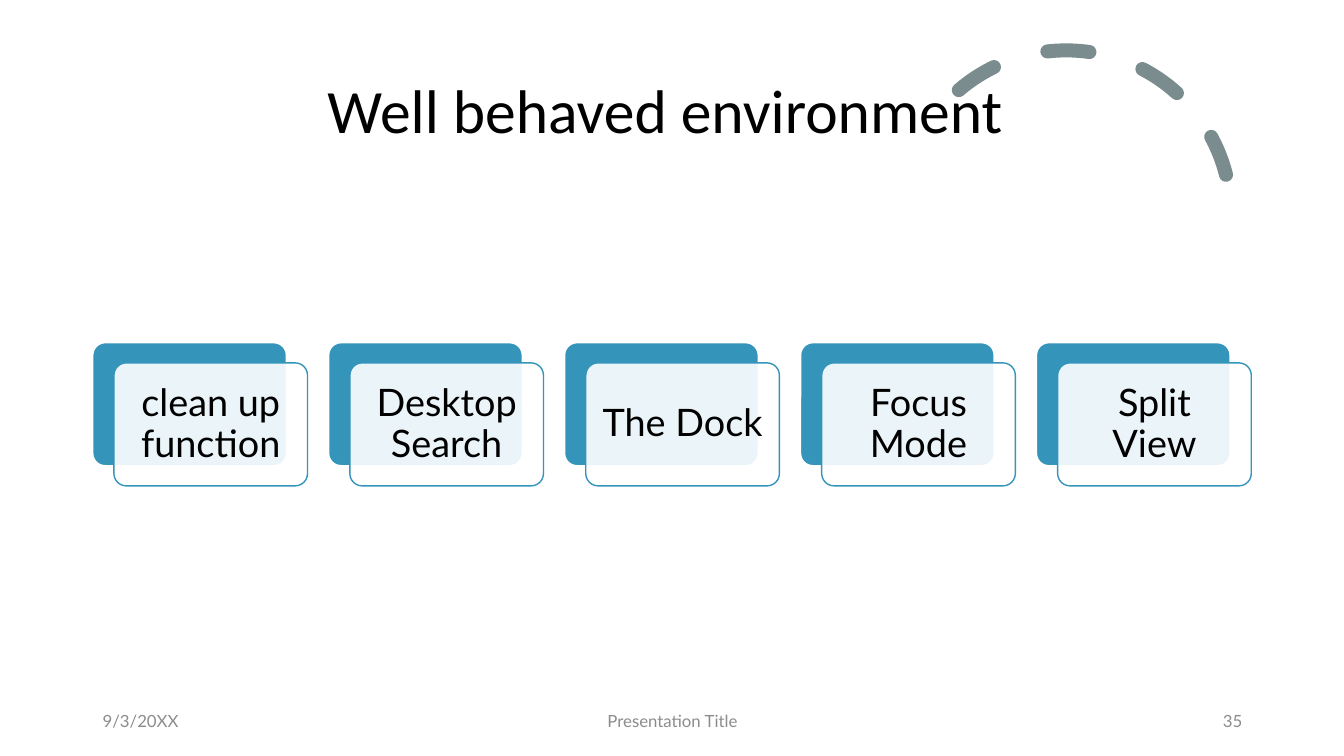
import pptx
import pptx.util
import pptx.dml.color
import pptx.enum.dml
import pptx.enum.shapes
import pptx.enum.text
import pptx.oxml

Inches = pptx.util.Inches
Pt = pptx.util.Pt
RGBColor = pptx.dml.color.RGBColor
SHAPE = pptx.enum.shapes.MSO_SHAPE
ALIGN = pptx.enum.text.PP_ALIGN
MIDDLE = pptx.enum.text.MSO_ANCHOR.MIDDLE

BLACK = RGBColor(0x00, 0x00, 0x00)
WHITE = RGBColor(0xFF, 0xFF, 0xFF)
BLUE = RGBColor(0x34, 0x94, 0xBA)
SLATE = RGBColor(0x7A, 0x8C, 0x8E)
GREY = RGBColor(0x8C, 0x8C, 0x8C)

TOOLS = ["clean up function", "Desktop Search", "The Dock",
         "Focus Mode", "Split View"]
LEFT, TOP, PITCH = 0.92, 3.4, 2.34
WIDTH, HEIGHT = 1.92, 1.22
SHIFT_X, SHIFT_Y = 0.21, 0.2


def write(frame, text, size, font, color, align):
    frame.word_wrap = True
    frame.vertical_anchor = MIDDLE
    para = frame.paragraphs[0]
    para.alignment = align
    run = para.add_run()
    run.text = text
    run.font.size = Pt(size)
    run.font.name = font
    run.font.color.rgb = color
    return para


def add_label(slide, box, text, size, font, color, align):
    label = slide.shapes.add_textbox(*[Inches(n) for n in box])
    write(label.text_frame, text, size, font, color, align)
    return label


def add_panel(slide, left, top, fill, line):
    panel = slide.shapes.add_shape(
        SHAPE.ROUNDED_RECTANGLE, Inches(left), Inches(top),
        Inches(WIDTH), Inches(HEIGHT))
    panel.adjustments[0] = 0.1
    panel.shadow.inherit = False
    panel.fill.solid()
    panel.fill.fore_color.rgb = fill
    panel.line.color.rgb = line
    panel.line.width = Pt(1)
    return panel


def set_alpha(shape, percent):
    color = shape.fill._xPr.find(".//" + pptx.oxml.ns.qn("a:srgbClr"))
    color.append(pptx.oxml.parse_xml(
        f'<a:alpha {pptx.oxml.ns.nsdecls("a")} val="{percent * 1000}"/>'))


def add_card(slide, left, text):
    """Add a blue panel with a translucent captioned panel offset over it."""
    add_panel(slide, left, TOP, BLUE, WHITE)
    front = add_panel(slide, left + SHIFT_X, TOP + SHIFT_Y, WHITE, BLUE)
    set_alpha(front, 90)
    frame = front.text_frame
    frame.margin_left = frame.margin_right = Inches(0.11)
    frame.margin_top = frame.margin_bottom = Inches(0.11)
    para = write(frame, text, 27, "Lato", BLACK, ALIGN.CENTER)
    para.line_spacing = 0.9


def add_arc(slide):
    arc = slide.shapes.add_shape(
        SHAPE.ARC, Inches(8.94), Inches(0.5), Inches(3.27), Inches(3.27))
    arc.adjustments[0] = 146.13
    arc.adjustments[1] = 0
    arc.rotation = 345.8
    arc.shadow.inherit = False
    arc.fill.background()
    arc.line.color.rgb = SLATE
    arc.line.width = Pt(10)
    arc.line.dash_style = pptx.enum.dml.MSO_LINE.DASH
    arc.line._get_or_add_ln().set("cap", "rnd")


def add_title(slide):
    title = add_label(slide, (0.92, 0.4, 11.5, 1.45),
                      "Well behaved environment", 44, "Calibri", BLACK,
                      ALIGN.CENTER)
    title.text_frame.margin_right = Inches(0.24)
    title.text_frame.paragraphs[0].line_spacing = 0.9


def add_footer(slide):
    for left, width, text, align in [
            (0.92, 3, "9/3/20XX", ALIGN.LEFT),
            (4.42, 4.5, "Presentation Title", ALIGN.CENTER),
            (9.42, 3, "35", ALIGN.RIGHT)]:
        label = add_label(slide, (left, 6.95, width, 0.4), text, 12, "Lato",
                          GREY, align)
        label.text_frame.paragraphs[0].space_after = Pt(6)


def main():
    deck = pptx.Presentation()
    deck.slide_width = Inches(13.33)
    deck.slide_height = Inches(7.5)
    slide = deck.slides.add_slide(deck.slide_layouts[6])
    add_arc(slide)
    add_title(slide)
    add_footer(slide)
    for i, tool in enumerate(TOOLS):
        add_card(slide, LEFT + i * PITCH, tool)
    deck.save("out.pptx")


if __name__ == "__main__":
    main()
